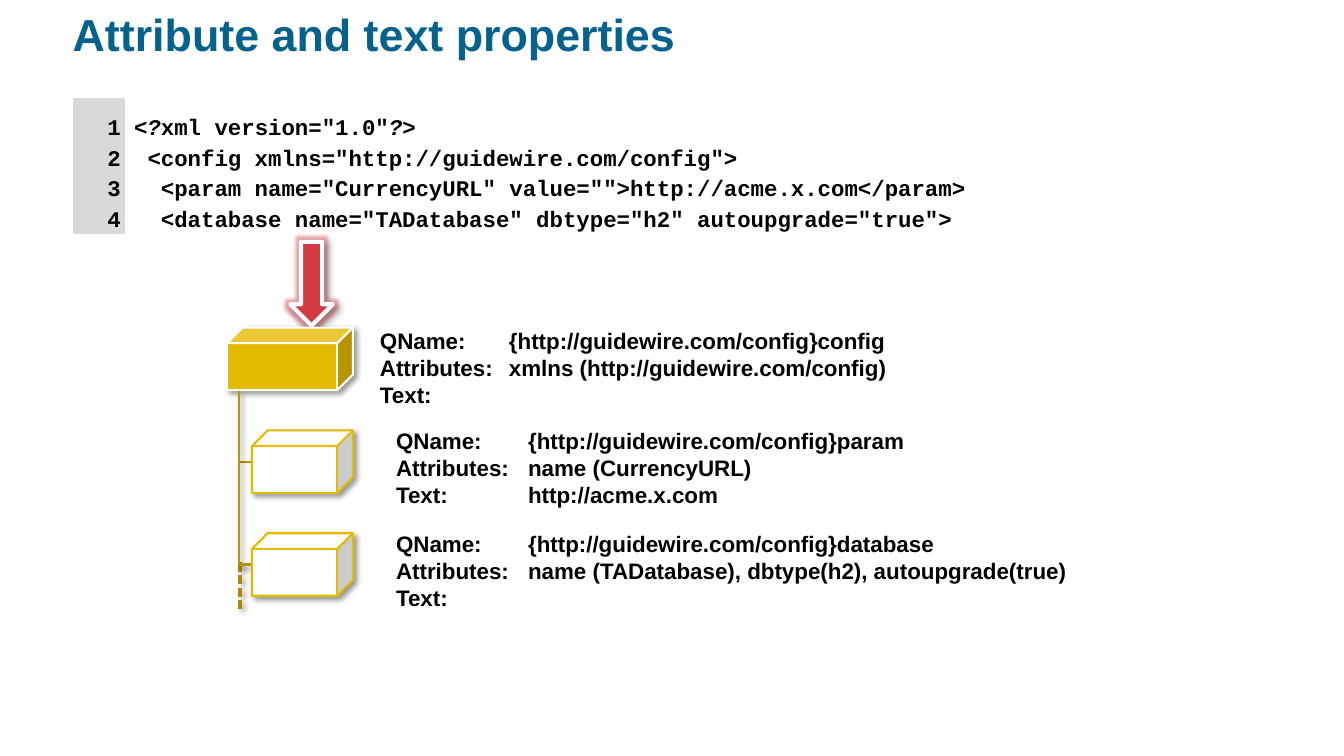
from lxml import etree
from pptx import Presentation
from pptx.dml.color import RGBColor
from pptx.enum.dml import MSO_LINE
from pptx.enum.shapes import MSO_CONNECTOR, MSO_SHAPE
from pptx.enum.text import MSO_ANCHOR, PP_ALIGN
from pptx.oxml.ns import qn
from pptx.util import Inches, Pt

TITLE = "Attribute and text properties"
# Each code line is a list of (text, italic) pieces
CODE = [
    [("  1 ", False), ("<?", True), ('xml version="1.0"', False), ("?>", True)],
    [('  2  <config xmlns="http://guidewire.com/config">', False)],
    [('  3   <param name="CurrencyURL" value="">http://acme.x.com</param>', False)],
    [('  4   <database name="TADatabase" dbtype="h2" autoupgrade="true">', False)],
]
LABELS = ("QName:", "Attributes:", "Text:")
# Box (left, top, width, height), tab stop, values
NODES = [
    ((3.67, 3.27, 5.4, 0.76), 1.28,
     ("{http://guidewire.com/config}config", "xmlns (http://guidewire.com/config)", "")),
    ((3.83, 4.25, 5.4, 0.78), 1.31,
     ("{http://guidewire.com/config}param", "name (CurrencyURL)", "http://acme.x.com")),
    ((3.83, 5.27, 7, 0.78), 1.31,
     ("{http://guidewire.com/config}database",
      "name (TADatabase), dbtype(h2), autoupgrade(true)", "")),
]
COLORS = {"title": "04628C", "text": "000000", "white": "FFFFFF", "red": "D33941",
          "gray": "D9D9D9", "gold": "E5BA03", "branch": "B79502", "dash": "AC8B02"}
TRUNK_X, TRUNK_TOP, CHILD_X = 2.37, 3.88, 2.5
CHILD_TOP, CHILD_STEP, CUBE_H = 4.27, 1.02, 0.62


def rgb(name):
    return RGBColor.from_string(COLORS[name])


def set_font(font, size, name="Arial", color="text"):
    font.size, font.name, font.bold = Pt(size), name, True
    font.color.rgb = rgb(color)


def add_effect(effects, tag, color, alpha, **attrs):
    effect = etree.SubElement(effects, qn(tag), attrs)
    clr = etree.SubElement(effect, qn("a:srgbClr"), val=COLORS[color])
    etree.SubElement(clr, qn("a:alpha"), val=str(alpha * 1000))


def set_effects(shape, shadow=True, glow=None):
    sp_pr = shape._element.spPr
    for old in sp_pr.findall(qn("a:effectLst")):
        sp_pr.remove(old)
    effects = etree.SubElement(sp_pr, qn("a:effectLst"))
    if glow:
        add_effect(effects, "a:glow", glow, 40, rad=str(Pt(5)))
    if shadow:
        add_effect(effects, "a:outerShdw", "text", 40, blurRad=str(Pt(4)),
                   dist=str(Pt(3)), dir=str(45 * 60000), algn="tl", rotWithShape="0")


def add_shape(kind, box, fill, line, width, shadow=True, glow=None):
    sp = s.shapes.add_shape(kind, *map(Inches, box))
    sp.fill.solid()
    sp.fill.fore_color.rgb = rgb(fill)
    sp.line.color.rgb = rgb(line)
    sp.line.width = Pt(width)
    set_effects(sp, shadow, glow)


def add_branch(end_y, shadow):
    builder = s.shapes.build_freeform(Inches(TRUNK_X), Inches(TRUNK_TOP))
    builder.add_line_segments([(Inches(TRUNK_X), Inches(end_y)),
                               (Inches(CHILD_X), Inches(end_y))], close=False)
    sp = builder.convert_to_shape()
    sp.fill.background()
    sp.line.color.rgb = rgb("branch")
    sp.line.width = Pt(1.5)
    set_effects(sp, shadow)


def add_text(box):
    tf = s.shapes.add_textbox(*map(Inches, box)).text_frame
    tf.word_wrap = True
    return tf


def paragraphs(tf, count):
    return [tf.paragraphs[0]] + [tf.add_paragraph() for _ in range(count - 1)]


prs = Presentation()
prs.slide_width, prs.slide_height = Inches(13.33), Inches(7.5)
s = prs.slides.add_slide(prs.slide_layouts[5])

# Title
title = s.shapes.title
title.left, title.top, title.width, title.height = map(Inches, (0.72, 0.13, 12.13, 0.81))
tf = title.text_frame
tf.margin_left = tf.margin_right = tf.margin_top = tf.margin_bottom = 0
tf.vertical_anchor = MSO_ANCHOR.TOP
tf.text = TITLE
p = tf.paragraphs[0]
p.alignment, p.line_spacing = PP_ALIGN.LEFT, 0.9
set_font(p.font, 32, color="title")

# Arrow from the code to the tree
add_shape(MSO_SHAPE.DOWN_ARROW, (2.88, 2.4, 0.42, 0.83), "red", "white", 3, glow="red")

# Numbered code
add_shape(MSO_SHAPE.RECTANGLE, (0.73, 0.98, 0.5, 1.33), "gray", "gray", 1.5, shadow=False)
tf = add_text((0.7, 1.08, 9.08, 1.33))
tf.margin_top = 0
for p, pieces in zip(paragraphs(tf, len(CODE)), CODE):
    p.line_spacing = 1.15
    set_font(p.font, 16, "Courier New")
    for text, italic in pieces:
        r = p.add_run()
        r.text, r.font.italic = text, italic

# Tree: dashed continuation, root cube, then each branch with its child cube
dash = s.shapes.add_connector(MSO_CONNECTOR.STRAIGHT, *map(Inches, (2.38, 5.58, 2.38, 6.07)))
dash.line.color.rgb = rgb("dash")
dash.line.width = Pt(2.25)
dash.line.dash_style = MSO_LINE.SQUARE_DOT
set_effects(dash)
add_shape(MSO_SHAPE.CUBE, (2.25, 3.25, 1.25, CUBE_H), "gold", "white", 1.5)
for i in range(len(NODES) - 1):
    top = CHILD_TOP + i * CHILD_STEP
    add_branch(top + CUBE_H / 2, shadow=i > 0)
    add_shape(MSO_SHAPE.CUBE, (CHILD_X, top, 1, CUBE_H), "white", "gold", 1.5)

# Properties of each node
for box, tab, values in NODES:
    tf = add_text(box)
    tf.vertical_anchor = MSO_ANCHOR.MIDDLE
    for p, label, value in zip(paragraphs(tf, len(LABELS)), LABELS, values):
        tabs = etree.SubElement(p._p.get_or_add_pPr(), qn("a:tabLst"))
        etree.SubElement(tabs, qn("a:tab"), pos=str(Inches(tab)), algn="l")
        p.add_run().text = f"{label}\t{value}" if value else label
        set_font(p.font, 16)

prs.save("out.pptx")
